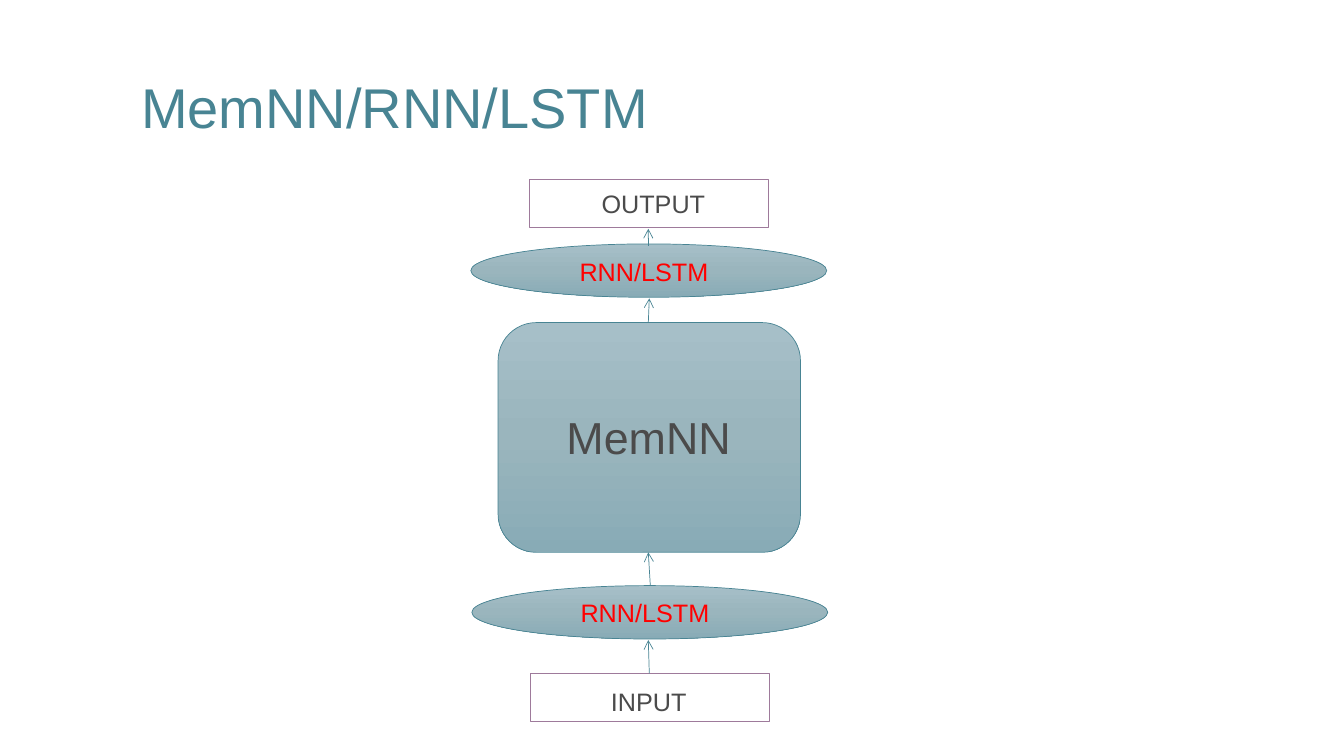
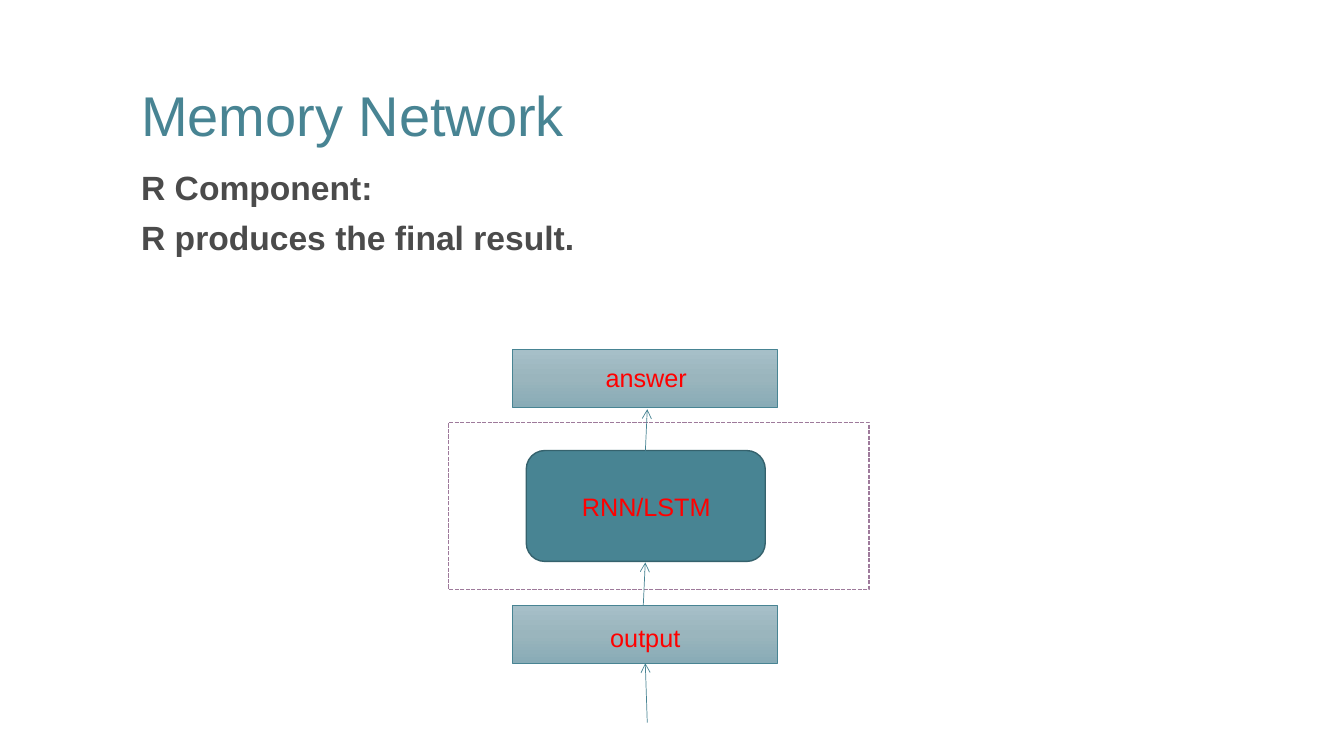
"""Build two slides on memory networks with RNN/LSTM components."""
from copy import deepcopy

from lxml.etree import SubElement
from pptx import Presentation
from pptx.dml.color import RGBColor
from pptx.enum.dml import MSO_LINE
from pptx.enum.shapes import MSO_CONNECTOR, MSO_SHAPE
from pptx.enum.text import MSO_ANCHOR, MSO_AUTO_SIZE, PP_ALIGN
from pptx.oxml.ns import qn
from pptx.util import Inches, Pt

FONT = "Arial"
TEAL = RGBColor(0x48, 0x84, 0x93)
DEEP_TEAL = RGBColor(0x35, 0x62, 0x6D)
MAUVE = RGBColor(0x9E, 0x7A, 0x9B)
GREY = RGBColor(0x4B, 0x4B, 0x4B)
RED = RGBColor(0xFF, 0x00, 0x00)
WHITE = RGBColor(0xFF, 0xFF, 0xFF)
MIST = ((0, RGBColor(0xA6, 0xBF, 0xC8)),
        (0.5, RGBColor(0x9A, 0xB5, 0xBD)),
        (1, RGBColor(0x88, 0xAB, 0xB6)))

STYLES = {
    "memory": (MSO_SHAPE.ROUNDED_RECTANGLE, MIST, TEAL, 0.5, None),
    "endpoint": (MSO_SHAPE.RECTANGLE, WHITE, MAUVE, 1, None),
    "encoder": (MSO_SHAPE.OVAL, MIST, TEAL, 0.5, None),
    "frame": (MSO_SHAPE.RECTANGLE, WHITE, MAUVE, 1, MSO_LINE.SQUARE_DOT),
    "result": (MSO_SHAPE.RECTANGLE, MIST, TEAL, 0.5, None),
    "network": (MSO_SHAPE.ROUNDED_RECTANGLE, TEAL, DEEP_TEAL, 1, None),
}

LEFT, WIDTH = 1.3, 10.73
CENTER = PP_ALIGN.CENTER

SLIDES = [
    {
        "title": "MemNN/RNN/LSTM",
        "title_top": 0.61,
        "body": [],
        "blocks": [
            ("memory", 4.94, 3.2, 3, 2.28),
            ("endpoint", 5.25, 1.78, 2.37, 0.48),
            ("endpoint", 5.26, 6.68, 2.37, 0.48),
            ("encoder", 4.67, 2.42, 3.53, 0.53),
            ("encoder", 4.68, 5.81, 3.53, 0.53),
        ],
        "arrows": [
            (6.43, 2.44, 6.43, 2.27),
            (6.43, 3.2, 6.44, 2.96),
            (6.45, 5.81, 6.43, 5.48),
            (6.44, 6.68, 6.43, 6.35),
        ],
        "labels": [
            ("RNN/LSTM", 5.65, 2.49, 1.97, 0.4, {"color": RED}),
            ("RNN/LSTM", 5.66, 5.88, 1.97, 0.4, {"color": RED}),
            ("OUTPUT", 5.52, 1.82, 1.92, 0.4, {"align": CENTER}),
            ("INPUT", 5.35, 6.76, 2.17, 0.4, {"align": CENTER}),
            ("MemNN", 5.52, 4.02, 1.98, 0.63, {"size": 32}),
        ],
    },
    {
        "title": "Memory Network",
        "title_top": 0.68,
        "body": ["R Component:", "R produces the final result."],
        "blocks": [
            ("frame", 4.45, 4.19, 4.17, 1.66),
            ("result", 5.08, 6.01, 2.63, 0.57),
            ("network", 5.22, 4.47, 2.37, 1.1),
            ("result", 5.08, 3.47, 2.63, 0.57),
        ],
        "arrows": [
            (6.42, 7.17, 6.4, 6.58),
            (6.4, 4.49, 6.42, 4.06),
            (6.38, 6.01, 6.4, 5.58),
        ],
        "labels": [
            ("RNN/LSTM", 5.42, 4.83, 1.98, 0.4, {"color": RED, "align": CENTER}),
            ("output", 5.45, 6.12, 1.9, 0.4, {"color": RED, "align": CENTER}),
            ("answer", 5.46, 3.55, 1.9, 0.4, {"color": RED, "align": CENTER}),
        ],
    },
]


def inches(*values):
    return [Inches(value) for value in values]


def write(frame, *lines, size=18, color=GREY, bold=False, align=PP_ALIGN.LEFT,
          spacing=None, before=0, bullets=True):
    frame.word_wrap = True
    for index, line in enumerate(lines):
        paragraph = frame.add_paragraph() if index else frame.paragraphs[0]
        paragraph.alignment = align
        paragraph.line_spacing = spacing
        paragraph.space_before = Pt(before if index else 0)
        if not bullets:
            properties = paragraph._p.get_or_add_pPr()
            properties.set("marL", "0")
            properties.set("indent", "0")
            SubElement(properties, qn("a:buNone"))
        run = paragraph.add_run()
        run.text = line
        font = run.font
        font.name, font.size, font.bold = FONT, Pt(size), bold
        font.color.rgb = color


def place(placeholder, top, height, anchor):
    placeholder.left, placeholder.top, placeholder.width, placeholder.height = inches(
        LEFT, top, WIDTH, height)
    placeholder.text_frame.vertical_anchor = anchor
    placeholder.text_frame.auto_size = MSO_AUTO_SIZE.NONE
    return placeholder.text_frame


def fill_gradient(shape, colors):
    shape.fill.gradient()
    shape.fill.gradient_angle = 270
    stop_list = shape._element.spPr.find(qn("a:gradFill")).find(qn("a:gsLst"))
    stop_list.insert(1, deepcopy(stop_list[0]))
    for stop, (position, color) in zip(shape.fill.gradient_stops, colors):
        stop.position = position
        stop.color.rgb = color


def add_block(slide, style, *box):
    outline, fill, line_color, line_width, dash = STYLES[style]
    block = slide.shapes.add_shape(outline, *inches(*box))
    block.shadow.inherit = False
    if fill is MIST:
        fill_gradient(block, fill)
    else:
        block.fill.solid()
        block.fill.fore_color.rgb = fill
    block.line.color.rgb = line_color
    block.line.width = Pt(line_width)
    if dash:
        block.line.dash_style = dash


def add_arrow(slide, *ends):
    arrow = slide.shapes.add_connector(MSO_CONNECTOR.STRAIGHT, *inches(*ends))
    arrow.line.color.rgb = TEAL
    arrow.line.width = Pt(0.5)
    SubElement(arrow.line._get_or_add_ln(), qn("a:tailEnd"), type="arrow")
    SubElement(arrow._element.spPr, qn("a:effectLst"))


def add_label(slide, text, *box, **style):
    label = slide.shapes.add_textbox(*inches(*box))
    write(label.text_frame, text, **style)
    label.text_frame.auto_size = MSO_AUTO_SIZE.SHAPE_TO_FIT_TEXT


def build_slide(deck, content):
    layout = deck.slide_layouts[1 if content["body"] else 5]
    slide = deck.slides.add_slide(layout)
    title = place(slide.shapes.title, content["title_top"], 0.98, MSO_ANCHOR.MIDDLE)
    write(title, content["title"], size=40, color=TEAL, spacing=0.9)
    if content["body"]:
        body = place(slide.placeholders[1], 1.65, 5.24, MSO_ANCHOR.TOP)
        write(body, *content["body"], size=24, bold=True, align=PP_ALIGN.JUSTIFY,
              spacing=0.9, before=10, bullets=False)
    for block in content["blocks"]:
        add_block(slide, *block)
    for arrow in content["arrows"]:
        add_arrow(slide, *arrow)
    for *label, style in content["labels"]:
        add_label(slide, *label, **style)


def main():
    deck = Presentation()
    deck.slide_width, deck.slide_height = inches(13.33, 7.5)
    for content in SLIDES:
        build_slide(deck, content)
    deck.save("out.pptx")


if __name__ == "__main__":
    main()
